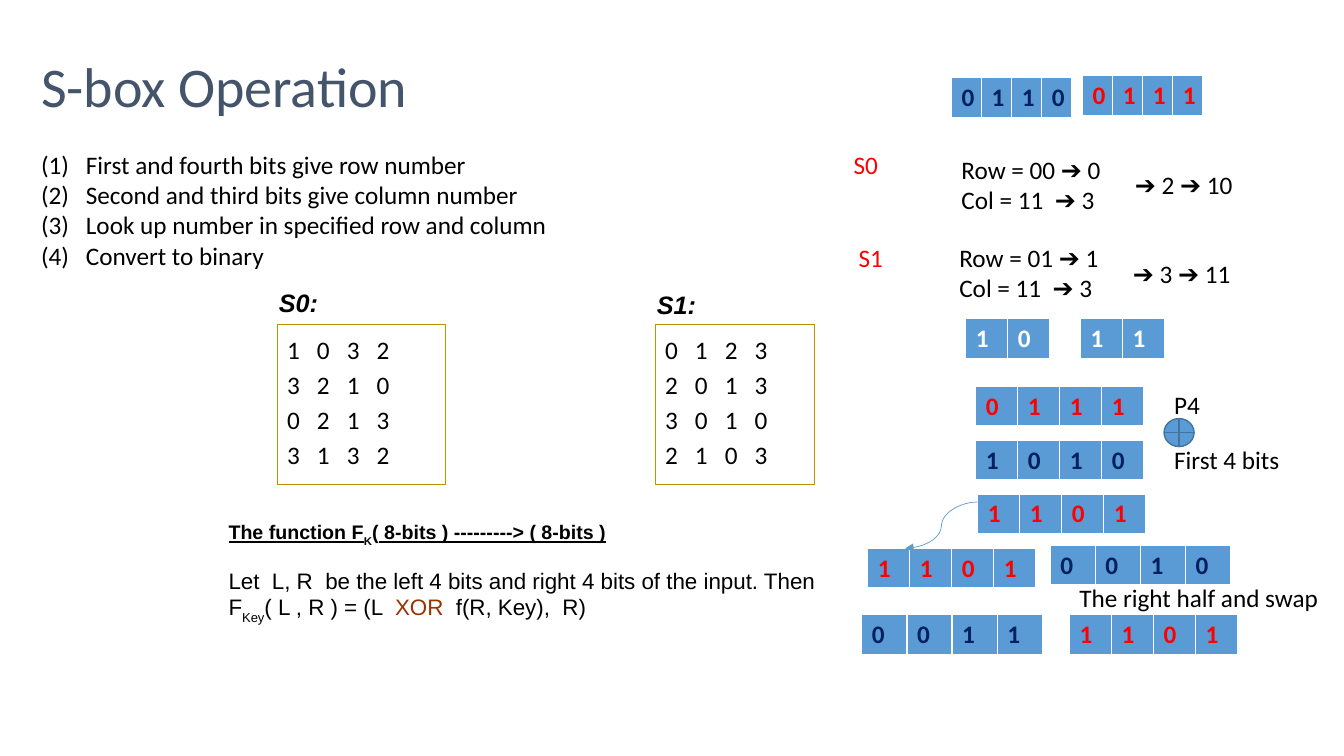
from dataclasses import dataclass, field

from lxml.etree import SubElement as Sub
from pptx import Presentation
from pptx.dml.color import RGBColor
from pptx.enum.shapes import MSO_CONNECTOR as Link, MSO_SHAPE as Form
from pptx.enum.text import MSO_ANCHOR as Anchor, MSO_AUTO_SIZE as Auto, PP_ALIGN as Align
from pptx.oxml.ns import qn
from pptx.util import Pt

BLACK = RGBColor(0x00, 0x00, 0x00)
WHITE = RGBColor(0xFF, 0xFF, 0xFF)
RED = RGBColor(0xFF, 0x00, 0x00)
NAVY = RGBColor(0x00, 0x20, 0x60)
SLATE = RGBColor(0x44, 0x54, 0x6A)
BLUE = RGBColor(0x5B, 0x9B, 0xD5)
EDGE = RGBColor(0x43, 0x73, 0x9E)
GOLD = RGBColor(0xBF, 0x90, 0x00)
RUST = RGBColor(0x99, 0x33, 0x00)

BODY = {"size": Pt(18), "name": "Calibri"}
BOLD = BODY | {"bold": True}
TITLE = BODY | {"size": Pt(40)}
LABEL = {"size": Pt(18), "name": "Arial", "bold": True, "italic": True}
HEAD = {"size": Pt(14), "name": "Arial", "bold": True}
LINED = HEAD | {"underline": True}
PLAIN = {"size": Pt(16), "name": "Arial"}


@dataclass
class Span:
    text: str
    font: dict = field(default_factory=lambda: BODY)
    color: RGBColor = BLACK
    sub: bool = False


@dataclass
class Line:
    spans: list[Span]
    form: dict = field(default_factory=dict)
    hang: float = 0
    tabs: list[float] = field(default_factory=list)


@dataclass
class Note:
    x: float
    y: float
    w: float
    h: float
    lines: list[Line]
    wrap: bool = False


@dataclass
class Bits:
    x: float
    y: float
    step: float
    bits: str
    color: RGBColor


@dataclass
class Grid:
    x: float
    w: float
    rows: list[str]


def put(item: object, form: dict) -> None:
    for key, val in form.items():
        setattr(item, key, val)


def write(frame, lines: list[Line]) -> None:
    for i, line in enumerate(lines):
        para = frame.paragraphs[0] if i == 0 else frame.add_paragraph()
        props = para._p.get_or_add_pPr()
        if line.hang:
            props.set("marL", str(Pt(line.hang)))
            props.set("indent", str(-Pt(line.hang)))
        if line.tabs:
            stops = Sub(props, qn("a:tabLst"))
            for pos in line.tabs:
                Sub(stops, qn("a:tab"), pos=str(Pt(pos)), algn="l")
        put(para, {"alignment": Align.LEFT} | line.form)
        for span in line.spans:
            run = para.add_run()
            run.text = span.text
            put(run.font, span.font)
            run.font.color.rgb = span.color
            if span.sub:
                run._r.get_or_add_rPr().set("baseline", "-30000")


def draw_note(shapes, note: Note) -> None:
    frame = shapes.add_textbox(Pt(note.x), Pt(note.y), Pt(note.w), Pt(note.h)).text_frame
    auto = Auto.NONE if note.wrap else Auto.SHAPE_TO_FIT_TEXT
    put(frame, {"word_wrap": note.wrap, "auto_size": auto})
    write(frame, note.lines)


def draw_bits(shapes, row: Bits) -> None:
    count = len(row.bits)
    table = shapes.add_table(1, count, Pt(row.x), Pt(row.y), Pt(row.step * count), Pt(29.2)).table
    for i, bit in enumerate(row.bits):
        table.columns[i].width = Pt(row.step)
        cell = table.cell(0, i)
        props = cell._tc.get_or_add_tcPr()
        for side, width in {"L": 1, "R": 1, "T": 1, "B": 3}.items():
            rim = Sub(props, qn(f"a:ln{side}"), w=str(Pt(width)))
            Sub(Sub(rim, qn("a:solidFill")), qn("a:srgbClr"), val=str(WHITE))
        cell.fill.solid()
        cell.fill.fore_color.rgb = BLUE
        write(cell.text_frame, [Line([Span(bit, BOLD, row.color)])])


def draw_grid(shapes, grid: Grid) -> None:
    box = shapes.add_shape(Form.RECTANGLE, Pt(grid.x), Pt(232), Pt(grid.w), Pt(114))
    box.shadow.inherit = False
    box.fill.background()
    box.line.color.rgb = GOLD
    box.line.width = Pt(0.75)
    box.text_frame.vertical_anchor = Anchor.TOP
    stops = [21.33 * i for i in range(1, 4)]
    write(box.text_frame, [
        Line([Span("\t".join(row))], {"line_spacing": 1.16}, tabs=stops) for row in grid.rows])


def draw_sum(shapes) -> None:
    mark = shapes.add_shape(Form.FLOWCHART_OR, Pt(831.5), Pt(299), Pt(21.5), Pt(20))
    mark.shadow.inherit = False
    mark.fill.solid()
    mark.fill.fore_color.rgb = BLUE
    mark.line.color.rgb = EDGE
    mark.line.width = Pt(1)


def draw_curve(shapes) -> None:
    curve = shapes.add_connector(Link.CURVE, Pt(698.4), Pt(358.6), Pt(646.6), Pt(391.7))
    curve.line.color.rgb = BLUE
    curve.line.width = Pt(0.5)
    Sub(curve.line._get_or_add_ln(), qn("a:tailEnd"), type="triangle")
    Sub(curve._element.spPr, qn("a:effectLst"))


def short(x: float, y: float, w: float, *texts: str,
          font: dict = BODY, color: RGBColor = BLACK) -> Note:
    lines = [Line([Span(text, font, color)]) for text in texts]
    return Note(x, y, w, 7.2 + 22 * len(lines), lines)


STEPS = [
    "First and fourth bits give row number",
    "Second and third bits give column number",
    "Look up number in specified row and column",
    "Convert to binary",
]

NOTES = [
    Note(22.3, 33.1, 540, 165, [Line([Span("S-box Operation", TITLE, SLATE)])] + [
        Line([Span(f"({i})\t{step}")], {"space_before": Pt(0 if i > 1 else 22)}, 32)
        for i, step in enumerate(STEPS, 1)], True),
    short(192.2, 201.6, 47.5, "S0:", font=LABEL),
    short(462.2, 203, 47.5, "S1:", font=LABEL),
    Note(156.2, 368, 473, 98, [
        Line([Span("The function F", LINED), Span("K", HEAD, sub=True), Span("(", HEAD),
              Span(" 8-bits ) ---------> ( 8-bits )", LINED)]),
        Line([Span("Let  L, R  be the left 4 bits and right 4 bits of the input. Then", PLAIN)],
             {"space_before": Pt(13.4)}),
        Line([Span("F", PLAIN), Span("Key", PLAIN, sub=True), Span("( L , R ) = (L  ", PLAIN),
              Span("XOR", PLAIN, RUST), Span("  f(R, Key),  R)", PLAIN)]),
    ], True),
    short(679.7, 106.6, 124, "Row = 00 ➔ 0", "Col = 11  ➔ 3"),
    short(803.5, 117.4, 93.6, "➔ 2 ➔ 10"),
    short(678.2, 169.2, 124, "Row = 01 ➔ 1", "Col = 11  ➔ 3"),
    short(802.1, 180.7, 93.6, "➔ 3 ➔ 11"),
    short(602.6, 103, 32.4, "S0", color=RED),
    short(606.2, 169.2, 32.4, "S1", color=RED),
    short(831.6, 274.3, 33.1, "P4"),
    short(831.6, 313.9, 90.7, "First 4 bits"),
    short(763.9, 412.6, 187.2, "The right half and swap"),
]

GRIDS = [
    Grid(198, 120, ["1032", "3210", "0213", "3132"]),
    Grid(468, 114, ["0123", "2013", "3010", "2103"]),
]

ROWS = [
    Bits(679.7, 55.4, 21.5, "0110", NAVY),
    Bits(773.3, 54, 21.5, "0111", RED),
    Bits(689.8, 227.5, 30, "10", WHITE),
    Bits(771.8, 227.5, 30, "11", WHITE),
    Bits(697, 275.8, 30, "0111", RED),
    Bits(697, 314.3, 30, "1010", NAVY),
    Bits(698.4, 352.8, 30, "1101", RED),
    Bits(619.9, 391.7, 30, "1101", RED),
    Bits(750.2, 389.5, 32.25, "0010", NAVY),
    Bits(615.6, 439.2, 32.25, "0011", NAVY),
    Bits(763.9, 439.2, 30, "1101", RED),
]


def main() -> None:
    deck = Presentation()
    put(deck, {"slide_width": Pt(960), "slide_height": Pt(540)})
    shapes = deck.slides.add_slide(deck.slide_layouts[6]).shapes
    for grid in GRIDS:
        draw_grid(shapes, grid)
    for row in ROWS:
        draw_bits(shapes, row)
    for note in NOTES:
        draw_note(shapes, note)
    draw_sum(shapes)
    draw_curve(shapes)
    deck.save("out.pptx")


if __name__ == "__main__":
    main()
